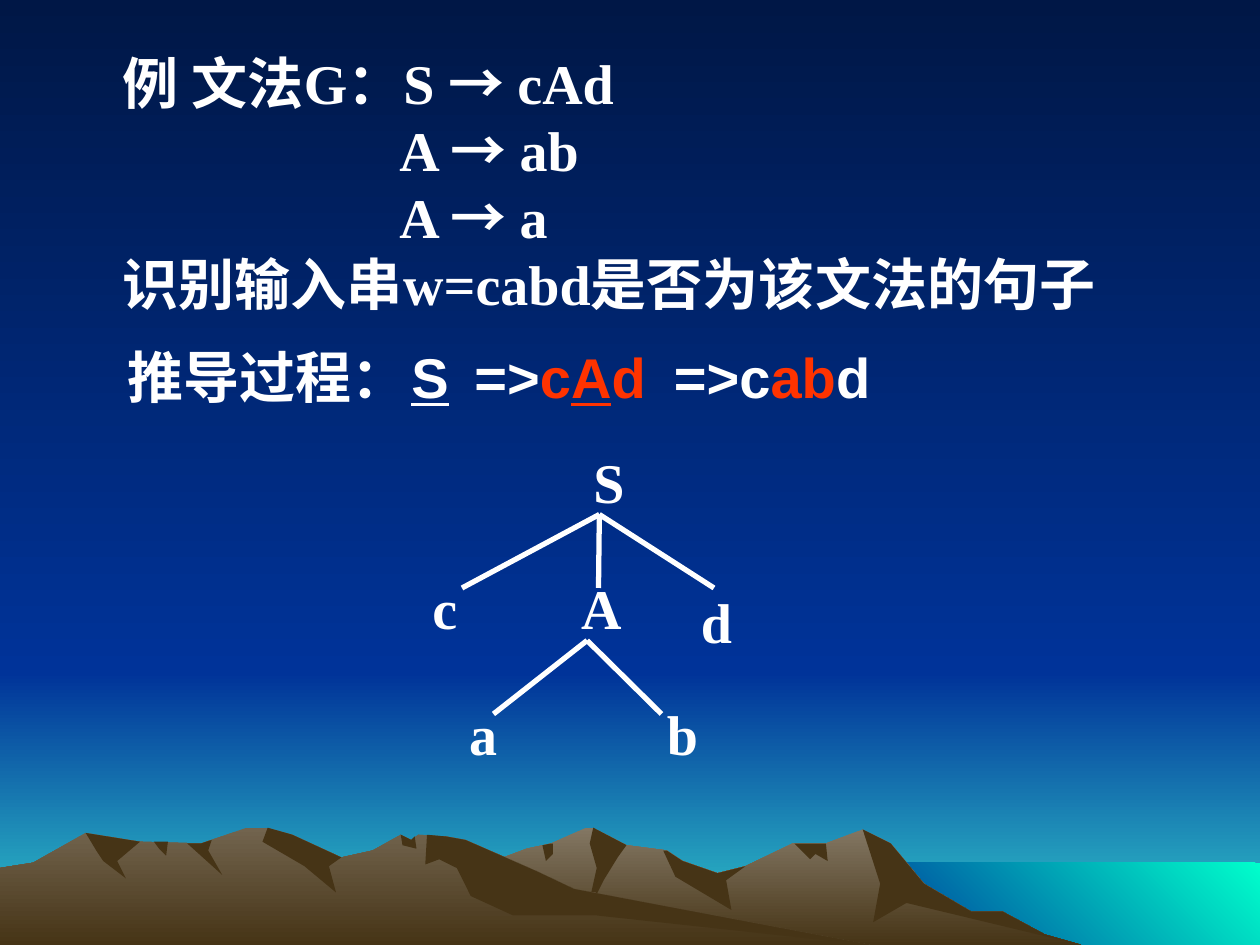
from dataclasses import dataclass

from lxml import etree
from pptx import Presentation
from pptx.dml.color import RGBColor
from pptx.enum.shapes import MSO_CONNECTOR, MSO_SHAPE
from pptx.enum.text import MSO_ANCHOR, MSO_AUTO_SIZE
from pptx.oxml.ns import qn
from pptx.util import Pt

RECTANGLE = MSO_SHAPE.RECTANGLE
STRAIGHT = MSO_CONNECTOR.STRAIGHT
TOP = MSO_ANCHOR.TOP
NO_AUTOFIT = MSO_AUTO_SIZE.NONE
DOWNWARD, TOWARD_LOWER_LEFT = 270, 225
SLIDE_WIDTH, SLIDE_HEIGHT = 720, 540
HORIZON, WATERLINE, SHORE = 384, 493, 492


@dataclass(frozen=True)
class Theme:
    text: str = "FFFFFF"
    accent: str = "FF3300"
    night: str = "001746"
    blue: str = "003399"
    horizon: str = "33CCCC"
    water: str = "00FFCC"
    far_rock: str = "837763"
    near_rock: str = "72644E"
    shade: str = "463416"
    serif: str = "Times New Roman"
    sans: str = "Arial"
    chinese: str = "Noto Sans CJK SC"
    size: float = 32
    branch: float = 3


@dataclass(frozen=True)
class Face:
    start: float
    end: float
    folds: tuple


@dataclass(frozen=True)
class Range:
    color: str
    crest: tuple
    faces: tuple

    def height(self, x):
        for (x1, h1), (x2, h2) in zip(self.crest, self.crest[1:]):
            if x1 <= x <= x2:
                return h1 + (h2 - h1) * (x - x1) / (x2 - x1)
        return 0

    def outline(self):
        return [(self.crest[0][0], 0), *self.crest, (self.crest[-1][0], 0)]

    def face_outline(self, face):
        inner = [point for point in self.crest if face.start < point[0] < face.end]
        ends = [(x, self.height(x)) for x in (face.start, face.end)]
        return [ends[0], *inner, ends[1], *face.folds]


@dataclass(frozen=True)
class Node:
    symbol: str
    left: float
    top: float
    parent: str = ""
    joint: float = 0


THEME = Theme()
SANS = {"face": THEME.sans}
RED = {**SANS, "color": THEME.accent}
UNDERLINED = {"underline": True}
MARGIN_INDENT, RULE_INDENT = 27, 185


def production(left_side, right_side):
    return [(left_side + " ", {}), ("→ ", {"face": THEME.chinese}), (right_side, {})]


GRAMMAR = [
    (MARGIN_INDENT, production("例 文法G：S", "cAd")),
    (RULE_INDENT, production("A", "ab")),
    (RULE_INDENT, production("A", "a")),
    (MARGIN_INDENT, [("识别输入串w=cabd是否为该文法的句子", {})]),
]

DERIVATION = [
    (66, 180, [("推导过程：", {})]),
    (228, 42, [("S", {**SANS, **UNDERLINED})]),
    (264, 118, [("=>", SANS), ("c", RED), ("A", {**RED, **UNDERLINED}), ("d", RED)]),
    (378, 132, [("=>c", SANS), ("ab", RED), ("d", SANS)]),
]

TREE_TOP, LEVEL_GAP = 252, 72
LEVELS = [TREE_TOP + LEVEL_GAP * depth for depth in range(3)]
PARSE_TREE = [
    Node("S", 332, LEVELS[0]),
    Node("c", 240, LEVELS[1], "S", 264),
    Node("A", 325, LEVELS[1], "S", 342),
    Node("d", 393.5, LEVELS[1] + 8, "S", 408),
    Node("a", 261, LEVELS[2], "A", 282),
    Node("b", 374, LEVELS[2], "A", 378),
]

FAR_RANGE = Range(
    THEME.far_rock,
    crest=((186, 0), (235, 30), (301, 55), (315, 58), (335, 67), (339, 67), (358, 57),
           (381, 54), (390, 48), (410, 41), (426, 45), (453, 58), (472, 58), (493, 66),
           (509, 58), (528, 35), (555, 19), (573, 19), (597, 6), (618, 0)),
    faces=(
        Face(310, 316, ((316, 52), (312, 48))),
        Face(339, 358, ((353, 50), (345, 37), (335, 17), (341, 44), (337, 58))),
        Face(379, 426, ((415, 37), (418, 20), (386, 39))),
        Face(454, 472, ((473, 48), (466, 52), (463, 49))),
        Face(493, 618, ((518, 24), (499, 13), (503, 35))),
    ),
)

NEAR_RANGE = Range(
    THEME.near_rock,
    crest=((0, 44), (19, 47), (49, 64), (80, 59), (115, 58), (141, 67), (153, 67),
           (167, 63), (195, 50), (213, 54), (229, 63), (235, 60), (239, 63), (255, 62),
           (266, 60), (307, 42), (328, 32), (497, 0)),
    faces=(
        Face(49, 80, ((67, 48), (72, 38), (59, 48), (55, 54))),
        Face(88, 96, ((95, 51), (91, 55))),
        Face(107, 121, ((119, 54), (127, 40))),
        Face(153, 195, ((188, 45), (192, 30), (174, 45), (150, 59))),
        Face(229, 237, ((238, 55), (230, 57))),
        Face(244, 497, ((340, 17), (293, 17), (269, 28), (261, 44), (251, 49), (243, 46))),
    ),
)


def add_run(paragraph, text, face=THEME.serif, color=THEME.text, underline=False):
    run = paragraph.add_run()
    run.text = text
    run.font.size = Pt(THEME.size)
    run.font.bold = True
    run.font.underline = underline
    run.font.color.rgb = RGBColor.from_string(color)
    run.font.name = face
    east_asian = etree.SubElement(run.font._element, qn("a:ea"))
    east_asian.set("typeface", THEME.chinese)


class SlideBuilder:
    def __init__(self, slide, theme):
        self.slide = slide
        self.shapes = slide.shapes
        self.theme = theme

    def paint(self, fill, colors, angle=DOWNWARD):
        if len(colors) == 1:
            fill.solid()
            fill.fore_color.rgb = RGBColor.from_string(colors[0])
            return
        fill.gradient()
        fill.gradient_angle = angle
        for stop, color in zip(fill.gradient_stops, colors):
            stop.color.rgb = RGBColor.from_string(color)

    def finish(self, shape, colors, angle=DOWNWARD):
        shape.shadow.inherit = False
        shape.line.fill.background()
        self.paint(shape.fill, colors, angle)

    def band(self, left, top, bottom, colors, angle=DOWNWARD):
        box = map(Pt, (left, top, SLIDE_WIDTH - left, bottom - top))
        self.finish(self.shapes.add_shape(RECTANGLE, *box), colors, angle)

    def rock(self, outline, *colors):
        points = [(x, SLIDE_HEIGHT - height) for x, height in outline]
        builder = self.shapes.build_freeform(*points[0], scale=Pt(1))
        builder.add_line_segments(points[1:], close=True)
        self.finish(builder.convert_to_shape(), colors)

    def mountains(self, mountain_range):
        self.rock(mountain_range.outline(), mountain_range.color, self.theme.shade)
        for face in mountain_range.faces:
            self.rock(mountain_range.face_outline(face), self.theme.shade)

    def body(self, lines, left, top, width, height):
        body = self.slide.placeholders[1]
        self.shapes._spTree.append(body._element)
        body.left, body.top, body.width, body.height = map(Pt, (left, top, width, height))
        frame = body.text_frame
        frame.auto_size = NO_AUTOFIT
        frame.vertical_anchor = TOP
        for index, (indent, runs) in enumerate(lines):
            paragraph = frame.add_paragraph() if index else frame.paragraphs[0]
            properties = paragraph._p.get_or_add_pPr()
            properties.set("marL", str(Pt(indent)))
            properties.set("indent", "0")
            etree.SubElement(properties, qn("a:buNone"))
            paragraph.space_before = Pt(0)
            for text, style in runs:
                add_run(paragraph, text, **style)

    def label(self, runs, left, top, width, height):
        box = self.shapes.add_textbox(*map(Pt, (left, top, width, height)))
        box.text_frame.word_wrap = True
        for text, style in runs:
            add_run(box.text_frame.paragraphs[0], text, **style)

    def branch(self, *ends):
        branch = self.shapes.add_connector(STRAIGHT, *map(Pt, ends))
        branch.line.width = Pt(self.theme.branch)
        branch.line.color.rgb = RGBColor.from_string(self.theme.text)
        etree.SubElement(branch._element.spPr, qn("a:effectLst"))

    def tree(self, nodes):
        by_symbol = {node.symbol: node for node in nodes}
        for node in nodes:
            self.label([(node.symbol, {})], node.left, node.top, 64, 48)
            if node.parent:
                parent = by_symbol[node.parent]
                self.branch(parent.left + 10.5, parent.top + 42,
                            node.joint, parent.top + LEVEL_GAP + 12)


def main():
    deck = Presentation()
    deck.slide_width, deck.slide_height = Pt(SLIDE_WIDTH), Pt(SLIDE_HEIGHT)
    slide = deck.slides.add_slide(deck.slide_layouts[1])
    title = slide.shapes.title._element
    title.getparent().remove(title)
    page = SlideBuilder(slide, THEME)

    sky = (THEME.night, THEME.blue)
    page.paint(slide.background.fill, sky)
    page.band(0, HORIZON, SLIDE_HEIGHT, (THEME.blue, THEME.horizon))
    page.band(0, 0, HORIZON, sky)
    page.band(SHORE, WATERLINE, SLIDE_HEIGHT, (THEME.water, THEME.blue), TOWARD_LOWER_LEFT)
    for mountain_range in (FAR_RANGE, NEAR_RANGE):
        page.mountains(mountain_range)

    page.body(GRAMMAR, 36, 24, 648, 168)
    for left, width, runs in DERIVATION:
        page.label(runs, left, 192, width, 46)
    page.tree(PARSE_TREE)
    deck.save("out.pptx")


if __name__ == "__main__":
    main()
